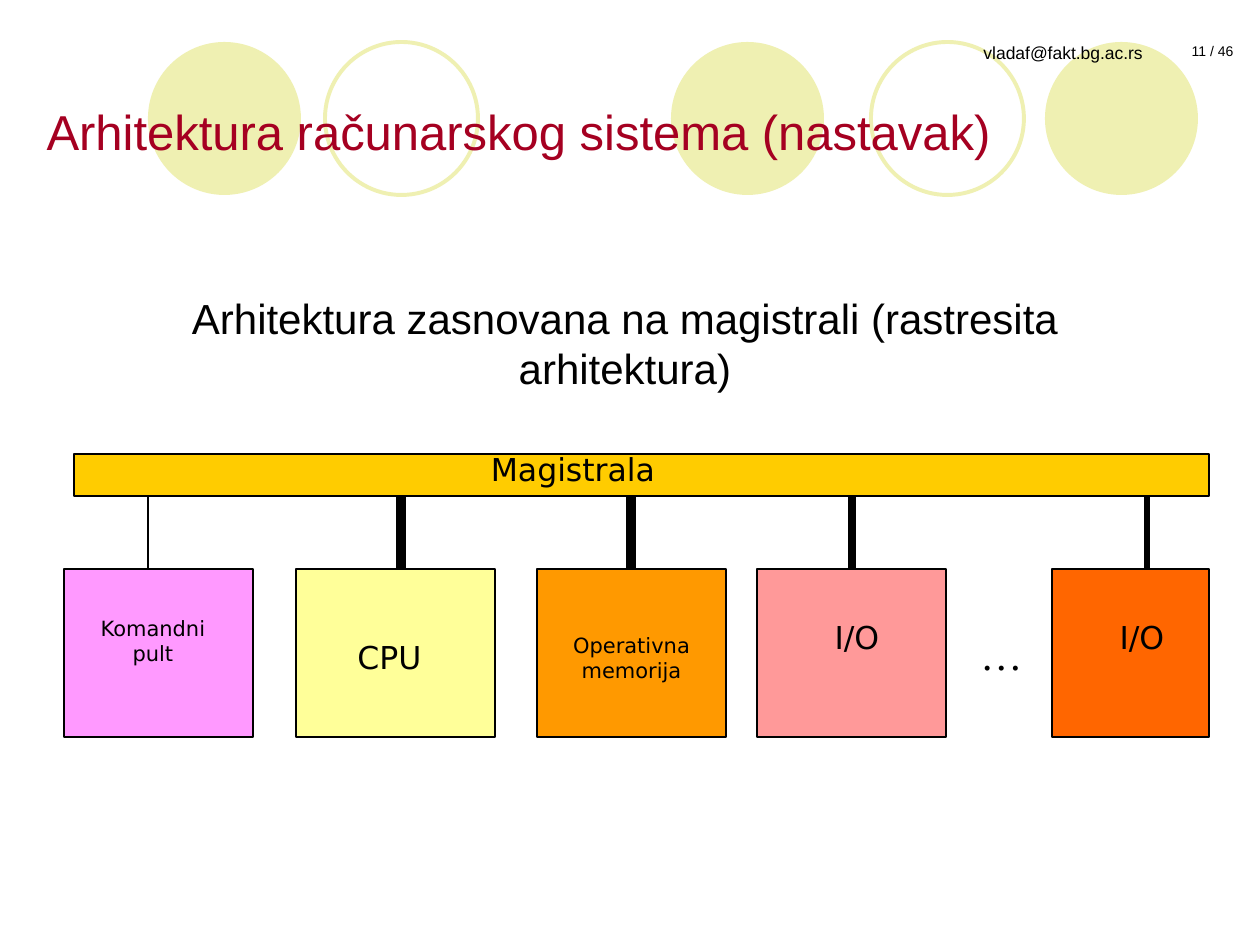
from typing import NamedTuple

from lxml import etree
from pptx import Presentation
from pptx import util as u
from pptx.dml.color import RGBColor
from pptx.enum import shapes, text
from pptx.oxml import ns

PX = 914400 / 126
BLACK = RGBColor(0x00, 0x00, 0x00)
CRIMSON = RGBColor(0xA5, 0x00, 0x21)
PALE_LIME = RGBColor(0xEF, 0xF0, 0xB2)
GOLD = RGBColor(0xFF, 0xCC, 0x00)
PINK = RGBColor(0xFF, 0x99, 0xFF)
YELLOW = RGBColor(0xFF, 0xFF, 0x99)
ORANGE = RGBColor(0xFF, 0x99, 0x00)
SALMON = RGBColor(0xFF, 0x99, 0x99)
VERMILION = RGBColor(0xFF, 0x66, 0x00)
SANS = "DejaVu Sans"


class Unit(NamedTuple):
    """A unit on the bus; x is from the diagram's left, label and link from the unit's."""
    x: int
    width: int
    fill: RGBColor
    label: str
    size: int
    label_box: tuple
    link_x: int
    link_weight: float


UNITS = [
    Unit(0, 189, PINK, "Komandni pult", 12, (21, 47, 136, 50), 84, 0.75),
    Unit(232, 199, YELLOW, "CPU", 18, (20, 63, 147, 50), 105, 6),
    Unit(473, 189, ORANGE, "Operativna memorija", 12, (21, 64, 147, 50), 94, 6),
    Unit(693, 189, SALMON, "I/O", 18, (32, 43, 136, 50), 95, 4.5),
    Unit(988, 157, VERMILION, "I/O", 18, (32, 43, 116, 50), 95, 3),
]


def emu(*lengths):
    """Turn px lengths into EMU."""
    return [u.Emu(round(length * PX)) for length in lengths]


def write(shape, words, size, font, color=BLACK, align=text.PP_ALIGN.CENTER):
    """Write one vertically centred paragraph into a shape."""
    frame = shape.text_frame
    frame.word_wrap = True
    frame.auto_size = text.MSO_AUTO_SIZE.NONE
    frame.vertical_anchor = text.MSO_ANCHOR.MIDDLE
    para = frame.paragraphs[0]
    para.alignment = align
    span = para.add_run()
    span.text = words
    span.font.size = u.Pt(size)
    span.font.name = font
    span.font.color.rgb = color


def add_label(page, box, words, size, font, align=text.PP_ALIGN.CENTER):
    """Add a text box."""
    write(page.shapes.add_textbox(*emu(*box)), words, size, font, align=align)


def add_figure(page, kind, box, fill=None, line=None, weight=0.75):
    """Add a preset shape with an optional fill and outline."""
    shape = page.shapes.add_shape(kind, *emu(*box))
    shape.shadow.inherit = False
    if fill is None:
        shape.fill.background()
    else:
        shape.fill.solid()
        shape.fill.fore_color.rgb = fill
    if line is None:
        shape.line.fill.background()
    else:
        shape.line.color.rgb = line
        shape.line.width = u.Pt(weight)


def add_link(page, x, top, bottom, weight):
    """Add a vertical line between a unit and the bus."""
    link = page.shapes.add_connector(shapes.MSO_CONNECTOR.STRAIGHT, *emu(x, bottom, x, top))
    link.line.color.rgb = BLACK
    link.line.width = u.Pt(weight)
    etree.SubElement(link._element.spPr, ns.qn("a:effectLst"))


def add_header(page, box):
    """Place the circles, the address, the page number and the title."""
    left, top, width, height = box
    diameter = 153
    for x, filled in ((148, True), (325, False), (671, True), (871, False), (1045, True)):
        circle = (left + x, top + 7, diameter, diameter)
        if filled:
            add_figure(page, shapes.MSO_SHAPE.OVAL, circle, fill=PALE_LIME)
        else:
            add_figure(page, shapes.MSO_SHAPE.OVAL, circle, line=PALE_LIME, weight=2.25)
    add_label(page, (left + 848, top, 307, 36), "vladaf@fakt.bg.ac.rs", 10, "Arial",
              text.PP_ALIGN.RIGHT)
    add_label(page, (left + 1165, top, 95, 32), "11 / 46", 8, "Arial")
    title = page.shapes.title
    title.left, title.top, title.width, title.height = emu(
        left + 34, top + 33, width - 34, height - 33)
    write(title, "Arhitektura računarskog sistema (nastavak)", 28, "Arial", CRIMSON,
          text.PP_ALIGN.LEFT)
    page.shapes._spTree.append(title._element)


def add_bus_diagram(page, box):
    """Place the bus and the units linked to it."""
    left, top, width, height = box
    bus_height, unit_height = 42, 168
    bus_bottom = top + bus_height
    unit_top = top + height - unit_height
    add_figure(page, shapes.MSO_SHAPE.RECTANGLE, (left + 10, top, width - 10, bus_height),
               GOLD, BLACK)
    add_label(page, (left + 304, top - 10, 410, 50), "Magistrala", 18, SANS)
    for unit in UNITS:
        x = left + unit.x
        add_figure(page, shapes.MSO_SHAPE.RECTANGLE, (x, unit_top, unit.width, unit_height),
                   unit.fill, BLACK)
        add_link(page, x + unit.link_x, bus_bottom, unit_top, unit.link_weight)
        dx, dy, label_width, label_height = unit.label_box
        add_label(page, (x + dx, unit_top + dy, label_width, label_height),
                  unit.label, unit.size, SANS)
    add_label(page, (left + 904, unit_top + 53, 63, 63), "…", 24, "Times New Roman")


def main():
    """Build the slide and save it."""
    deck = Presentation()
    deck.slide_width, deck.slide_height = emu(1260, 945)
    page = deck.slides.add_slide(deck.slide_layouts[5])
    add_header(page, (0, 35, 1260, 159))
    add_bus_diagram(page, (64, 454, 1145, 283))
    add_label(page, (116, 285, 1018, 115),
              "Arhitektura zasnovana na magistrali (rastresita arhitektura)", 24, "Arial")
    deck.save("out.pptx")


if __name__ == "__main__":
    main()
